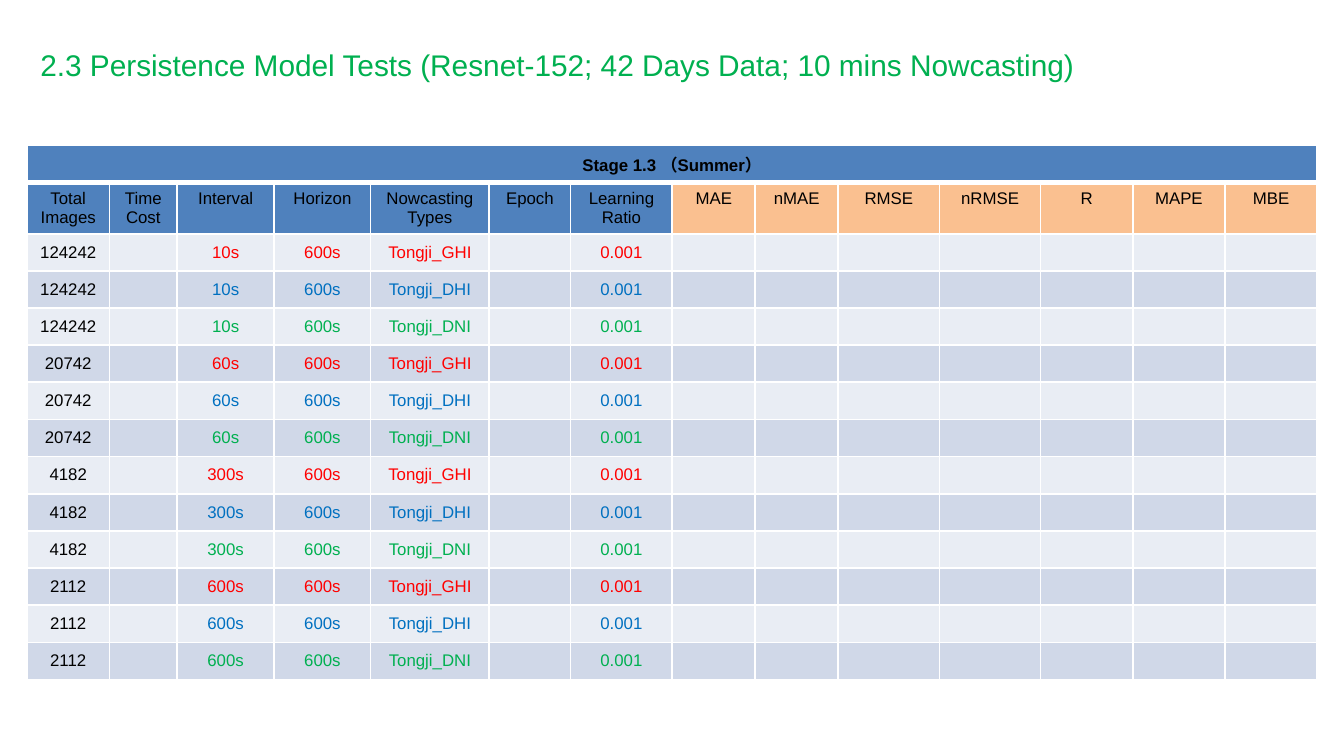
from itertools import product

from lxml.etree import SubElement
from pptx import Presentation
from pptx.dml.color import RGBColor
from pptx.enum.text import MSO_ANCHOR, MSO_AUTO_SIZE, PP_ALIGN
from pptx.oxml.ns import qn
from pptx.util import Pt

BLACK = RGBColor(0x00, 0x00, 0x00)
WHITE = RGBColor(0xFF, 0xFF, 0xFF)
RED = RGBColor(0xFF, 0x00, 0x00)
BLUE = RGBColor(0x00, 0x70, 0xC0)
GREEN = RGBColor(0x00, 0xB0, 0x50)
SETTING_FILL = RGBColor(0x4F, 0x81, 0xBD)
METRIC_FILL = RGBColor(0xFA, 0xC0, 0x90)
BAND_FILLS = [RGBColor(0xE9, 0xED, 0xF4), RGBColor(0xD0, 0xD8, 0xE8)]

COLUMN_WIDTHS = [44.3, 36.2, 52, 51.7, 63.5, 43.7, 54.4,
                 44.5, 44.5, 54.2, 54.2, 49.4, 49.4, 49.4]
ROW_HEIGHT, HEADING_HEIGHT = 19.9, 27.3
SETTINGS = ["Total\nImages", "Time Cost", "Interval", "Horizon",
            "Nowcasting\nTypes", "Epoch", "Learning Ratio"]
METRICS = ["MAE", "nMAE", "RMSE", "nRMSE", "R", "MAPE", "MBE"]
SAMPLINGS = [("124242", "10s"), ("20742", "60s"), ("4182", "300s"), ("2112", "600s")]
TYPES = [("Tongji_GHI", RED), ("Tongji_DHI", BLUE), ("Tongji_DNI", GREEN)]


def set_borders(cell, widths):
    for side, width in widths.items():
        line = SubElement(cell._tc.get_or_add_tcPr(), qn(f"a:ln{side}"), w=str(Pt(width)))
        fill = SubElement(line, qn("a:solidFill"))
        SubElement(fill, qn("a:srgbClr"), val=str(WHITE))


def fill_cell(cell, text, fill, color=BLACK, bold=False, anchor=MSO_ANCHOR.TOP):
    cell.fill.solid()
    cell.fill.fore_color.rgb = fill
    cell_format = {"vertical_anchor": anchor, "margin_top": Pt(3.4), "margin_bottom": Pt(3.4),
                   "margin_left": Pt(3.4), "margin_right": Pt(3.4)}
    for name, value in cell_format.items():
        setattr(cell, name, value)
    cell.text = text
    for paragraph in cell.text_frame.paragraphs:
        paragraph.alignment = PP_ALIGN.CENTER
        for run in paragraph.runs:
            for name, value in {"name": "Arial", "size": Pt(9), "bold": bold}.items():
                setattr(run.font, name, value)
            run.font.color.rgb = color
        # Keeps empty cells from growing to the default text size
        SubElement(paragraph._p, qn("a:endParaRPr"), sz="900")


presentation = Presentation()
presentation.slide_width, presentation.slide_height = Pt(720), Pt(405)
slide = presentation.slides.add_slide(presentation.slide_layouts[5])

# Title
title = slide.shapes.title
for name, value in {"left": Pt(14.4), "top": Pt(21.6),
                    "width": Pt(590), "height": Pt(33)}.items():
    setattr(title, name, value)
title.text = "2.3 Persistence Model Tests (Resnet-152; 42 Days Data; 10 mins Nowcasting)"
for name, value in {"vertical_anchor": MSO_ANCHOR.TOP, "word_wrap": True,
                    "auto_size": MSO_AUTO_SIZE.NONE}.items():
    setattr(title.text_frame, name, value)
title_paragraph = title.text_frame.paragraphs[0]
title_paragraph.alignment = PP_ALIGN.LEFT
title_font = title_paragraph.runs[0].font
title_font.name, title_font.size = "Arial", Pt(16)
title_font.color.rgb = GREEN

# Table grid
row_heights = [ROW_HEIGHT, HEADING_HEIGHT] + [ROW_HEIGHT] * len(SAMPLINGS) * len(TYPES)
table = slide.shapes.add_table(
    len(row_heights), len(COLUMN_WIDTHS), Pt(14.4), Pt(78),
    Pt(sum(COLUMN_WIDTHS)), Pt(sum(row_heights))).table
table.first_row = table.horz_banding = False
for column, width in zip(table.columns, COLUMN_WIDTHS):
    column.width = Pt(width)
for row, height in zip(table.rows, row_heights):
    row.height = Pt(height)
for row_index, row in enumerate(table.rows):
    for cell in row.cells:
        set_borders(cell, {"L": 1, "R": 1, "T": 3 if row_index == 1 else 1,
                           "B": 3 if row_index == 0 else 1})

# Stage row across all columns
table.cell(0, 0).merge(table.cell(0, len(COLUMN_WIDTHS) - 1))
fill_cell(table.cell(0, 0), "Stage 1.3 （Summer）", SETTING_FILL, bold=True)

# Column headings
for column_index, heading in enumerate(SETTINGS + METRICS):
    fill = SETTING_FILL if column_index < len(SETTINGS) else METRIC_FILL
    fill_cell(table.cell(1, column_index), heading, fill)

# Test rows: each sampling with each nowcasting type
tests = product(SAMPLINGS, TYPES)
for test_index, ((images, interval), (nowcasting_type, color)) in enumerate(tests):
    values = [images, "", interval, "600s", nowcasting_type, "", "0.001"] + [""] * len(METRICS)
    for column_index, value in enumerate(values):
        fill_cell(table.cell(test_index + 2, column_index), value, BAND_FILLS[test_index % 2],
                  BLACK if column_index == 0 else color, anchor=MSO_ANCHOR.MIDDLE)

presentation.save("out.pptx")
